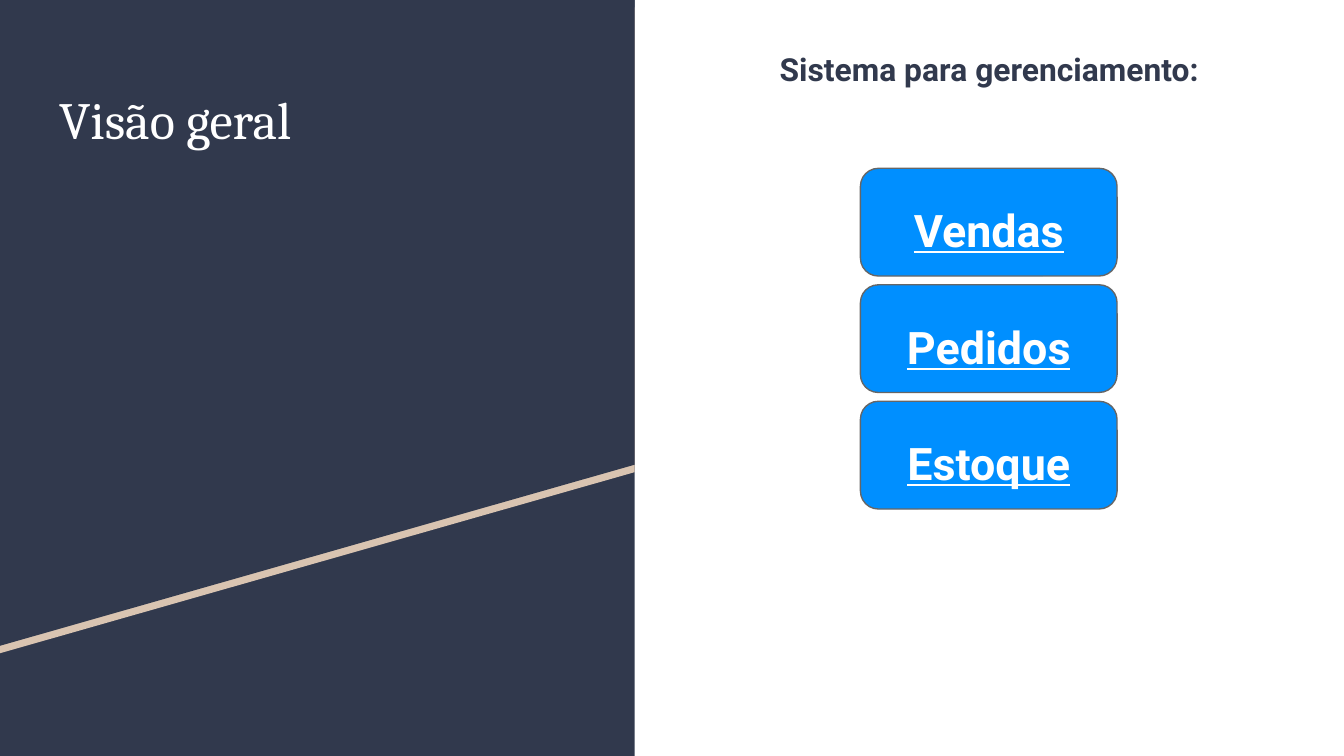
from pptx import Presentation
from pptx.dml.color import RGBColor
from pptx.enum import shapes, text
from pptx.util import Pt

NAVY = RGBColor(0x31, 0x39, 0x4D)
SAND = RGBColor(0xD9, 0xC4, 0xB1)
BLUE = RGBColor(0x00, 0x8F, 0xFF)
GRAY = RGBColor(0x66, 0x66, 0x66)
WHITE = RGBColor(0xFF, 0xFF, 0xFF)


class Deck:
    heading_font = "Cambria"
    body_font = "Roboto"
    inset = Pt(7.2)

    def __init__(self, width, height):
        self.prs = Presentation()
        self.prs.slide_width, self.prs.slide_height = Pt(width), Pt(height)
        self.slide = self.prs.slides.add_slide(self.prs.slide_layouts[5])

    def paint(self, shape, fill, line=None):
        shape.shadow.inherit = False
        shape.fill.solid()
        shape.fill.fore_color.rgb = fill
        if line is None:
            shape.line.fill.background()
        else:
            shape.line.color.rgb = line
            shape.line.width = Pt(0.75)

    def box(self, kind, left, top, width, height, fill, line=None):
        shape = self.slide.shapes.add_shape(kind, Pt(left), Pt(top), Pt(width), Pt(height))
        self.paint(shape, fill, line)

    def polygon(self, points, fill):
        builder = self.slide.shapes.build_freeform(*points[0], scale=Pt(1))
        builder.add_line_segments(points[1:], close=True)
        self.paint(builder.convert_to_shape(), fill)

    def set_words(self, shape, words, size, font, color, align, bold=False, underline=None):
        frame = shape.text_frame
        frame.text = words
        frame.word_wrap = True
        frame.vertical_anchor = text.MSO_ANCHOR.TOP
        frame.margin_left = frame.margin_right = self.inset
        frame.margin_top = frame.margin_bottom = self.inset
        paragraph = frame.paragraphs[0]
        paragraph.alignment = align
        run_font = paragraph.runs[0].font
        run_font.name, run_font.size, run_font.bold = font, Pt(size), bold
        run_font.underline = underline
        run_font.color.rgb = color
        return frame

    def title(self, words, left, top, width, height):
        title = self.slide.shapes.title
        title.left, title.top, title.width, title.height = map(Pt, (left, top, width, height))
        self.slide.shapes._spTree.append(title._element)
        frame = self.set_words(title, words, 28, self.heading_font, WHITE, text.PP_ALIGN.LEFT)
        frame.auto_size = text.MSO_AUTO_SIZE.NONE

    def label(self, words, left, top, width, height, size, color, underline=None):
        label = self.slide.shapes.add_textbox(Pt(left), Pt(top), Pt(width), Pt(height))
        frame = self.set_words(label, words, size, self.body_font, color,
                               text.PP_ALIGN.CENTER, True, underline)
        frame.paragraphs[0].line_spacing = 1.15
        return frame

    def button(self, words, center, top, width, height):
        self.box(shapes.MSO_SHAPE.ROUNDED_RECTANGLE, center - width / 2, top,
                 width, height, BLUE, GRAY)
        label_width = 200
        frame = self.label(words, center - label_width / 2, top + 7, label_width, 44,
                           24, WHITE, True)
        frame.paragraphs[0].space_after = Pt(16)
        frame.auto_size = text.MSO_AUTO_SIZE.SHAPE_TO_FIT_TEXT


PANEL_WIDTH, HEIGHT = 340, 405
STRIPE = 3.6
SLOPE_RIGHT, SLOPE_LEFT = 249.1, 346.3

deck = Deck(720, HEIGHT)
deck.box(shapes.MSO_SHAPE.RECTANGLE, 0, 0, PANEL_WIDTH, HEIGHT, NAVY)
for drop, color in ((STRIPE, SAND), (0, NAVY)):
    deck.polygon([(0, drop), (PANEL_WIDTH, drop),
                  (PANEL_WIDTH, SLOPE_RIGHT + drop), (0, SLOPE_LEFT + drop)], color)

deck.title("Visão geral", 24.5, 39.5, 291.5, 197)
deck.label("Sistema para gerenciamento:", 366, 16.5, 328, 380, 17, NAVY)

for row, module in enumerate(("Vendas", "Pedidos", "Estoque")):
    deck.button(module, 529.7, 90.2 + row * 62.4, 137.5, 57.7)

deck.prs.save("out.pptx")
